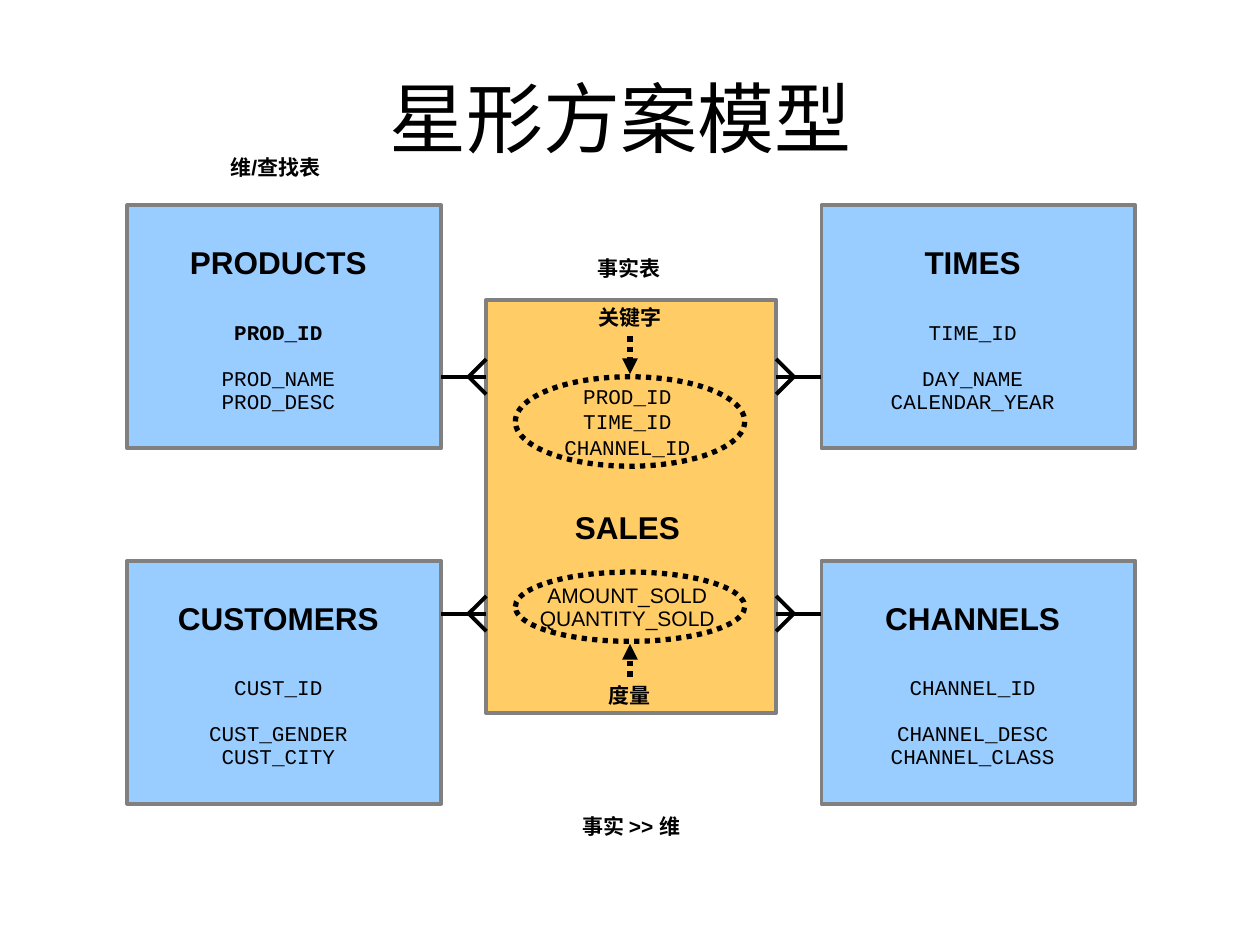
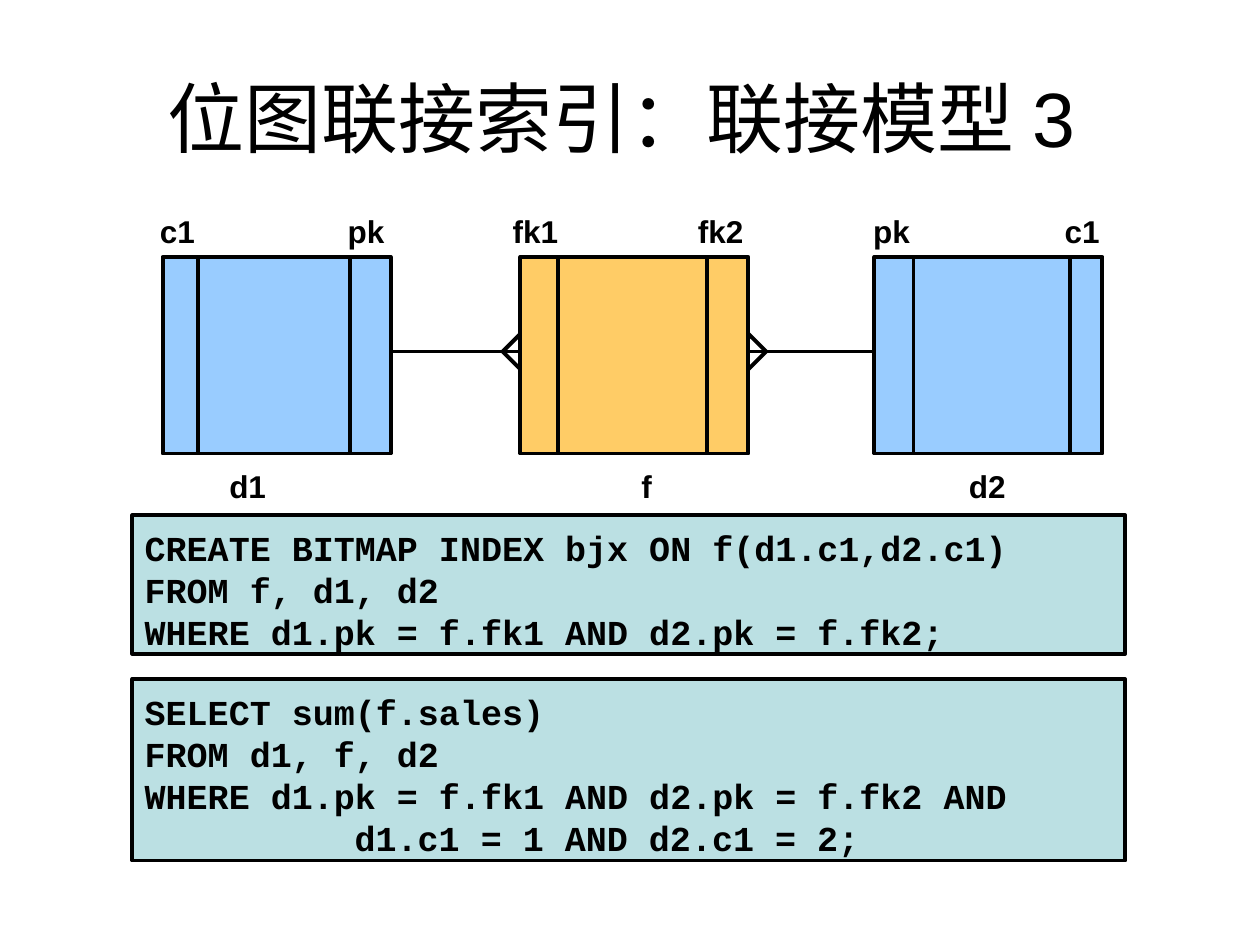
from dataclasses import dataclass

from lxml import etree
from pptx import Presentation
from pptx import util as u
from pptx.dml.color import RGBColor
from pptx.enum import dml, shapes, text
from pptx.oxml import ns

# Content: star schema
STAR_TITLE = "星形方案模型"
DIMENSIONS = [  # column, row, name, key, attributes, bold key
    (0, 0, "PRODUCTS", "PROD_ID", ("PROD_NAME", "PROD_DESC"), True),
    (1, 0, "TIMES", "TIME_ID", ("DAY_NAME", "CALENDAR_YEAR"), False),
    (0, 1, "CUSTOMERS", "CUST_ID", ("CUST_GENDER", "CUST_CITY"), False),
    (1, 1, "CHANNELS", "CHANNEL_ID", ("CHANNEL_DESC", "CHANNEL_CLASS"), False),
]
FACT_NAME = "SALES"
FACT_KEYS = ("PROD_ID", "TIME_ID", "CHANNEL_ID")
FACT_MEASURES = ("AMOUNT_SOLD", "QUANTITY_SOLD")
STAR_LABELS = [  # wording, left, top, width
    ("事实表", 4.64, 1.98, 0.7),
    ("维/查找表", 1.69, 1.18, 0.99),
    ("事实 >> 维", 4.48, 6.41, 1.06),
    ("度量", 4.73, 5.37, 0.53),
    ("关键字", 4.65, 2.37, 0.7),
]
RINGS = [(2.99, 0.71), (4.54, 0.55)]  # top, height
RING_ARROWS = [(2.67, 2.97), (5.37, 5.11)]  # from, to

# Content: join model
JOIN_TITLE = "位图联接索引：联接模型 3"
JOIN_TABLES = [  # left, is fact, column dividers, column labels, name label
    (1.29, False, (0.28, 1.49), (("c1", 1.26), ("pk", 2.75)), ("d1", 1.81)),
    (4.13, True, (0.3, 1.48), (("fk1", 4.06), ("fk2", 5.53)), ("f", 5.08)),
    (6.94, False, (0.31, 1.55), (("pk", 6.92), ("c1", 8.44)), ("d2", 7.68)),
]
LABEL_WIDTHS = {1: 0.11, 2: 0.39, 3: 0.46}  # by number of letters
STATEMENTS = [  # top, height, lines as (code, indent in characters)
    (4.09, 1.1, [
        ("CREATE BITMAP INDEX bjx ON f(d1.c1,d2.c1)", 0),
        ("FROM f, d1, d2", 0),
        ("WHERE d1.pk = f.fk1 AND d2.pk = f.fk2;", 0)]),
    (5.39, 1.44, [
        ("SELECT sum(f.sales)", 0),
        ("FROM d1, f, d2", 0),
        ("WHERE d1.pk = f.fk1 AND d2.pk = f.fk2 AND", 0),
        ("d1.c1 = 1 AND d2.c1 = 2;", 10)]),
]


@dataclass(frozen=True)
class Theme:
    ink: str = "000000"
    border: str = "808080"
    dimension: str = "99CCFF"
    fact: str = "FFCC66"
    code_fill: str = "BBE0E3"
    sans: str = "Arial"
    mono: str = "Courier New"
    title: int = 44
    code: int = 20
    name: int = 18
    small: int = 12
    stroke: float = 2.25
    dots: int = 3


THEME = Theme()


def rgb(value):
    return RGBColor.from_string(value)


# Text
def set_frame(frame, insets=(0.1, 0.05, 0.1, 0.05), anchor=text.MSO_ANCHOR.TOP, wrap=True):
    frame.auto_size = text.MSO_AUTO_SIZE.NONE
    frame.word_wrap = wrap
    frame.vertical_anchor = anchor
    (frame.margin_left, frame.margin_top,
     frame.margin_right, frame.margin_bottom) = map(u.Inches, insets)


def write(frame, wording, size=THEME.small, font=THEME.sans, bold=False,
          align=text.PP_ALIGN.CENTER, pitch=None, before=0, indent=0):
    """Fill the first paragraph if it is free, otherwise add one."""
    para = frame.paragraphs[-1]
    if para.runs:
        para = frame.add_paragraph()
    para.alignment = align
    para.space_before = u.Pt(before)
    if pitch:
        para.line_spacing = u.Pt(pitch)
    if indent:
        para._p.get_or_add_pPr().set("marL", str(u.Pt(indent)))
    span = para.add_run()
    span.text = wording
    span.font.size = u.Pt(size)
    span.font.name = font
    span.font.bold = bold
    span.font.color.rgb = rgb(THEME.ink)


def add_label(page, wording, left, top, width, height, frame_format, **style):
    box = page.shapes.add_textbox(*map(u.Inches, (left, top, width, height)))
    set_frame(box.text_frame, **frame_format)
    write(box.text_frame, wording, bold=True, **style)


# Shapes and lines
def add_box(page, left, top, width, height, fill=None, line=THEME.ink, dotted=False,
            kind=shapes.MSO_SHAPE.RECTANGLE):
    box = page.shapes.add_shape(kind, *map(u.Inches, (left, top, width, height)))
    box.shadow.inherit = False
    if fill:
        box.fill.solid()
        box.fill.fore_color.rgb = rgb(fill)
    else:
        box.fill.background()
    style_line(box.line, line, dotted)
    return box


def style_line(line, color=THEME.ink, dotted=False):
    line.color.rgb = rgb(color)
    line.width = u.Pt(THEME.dots if dotted else THEME.stroke)
    if dotted:
        line.dash_style = dml.MSO_LINE.ROUND_DOT


def add_line(page, x1, y1, x2, y2, arrow=False):
    link = page.shapes.add_connector(
        shapes.MSO_CONNECTOR.STRAIGHT, *map(u.Inches, (x1, y1, x2, y2)))
    style_line(link.line, dotted=arrow)
    properties = link._element.spPr
    if arrow:
        outline = properties.find(ns.qn("a:ln"))
        etree.SubElement(outline, ns.qn("a:tailEnd"), type="triangle")
    etree.SubElement(properties, ns.qn("a:effectLst"))


def add_many_link(page, one_x, many_x, y):
    """Line from the one side, ending in a crow's foot on the many side."""
    tip = many_x + (0.14 if one_x > many_x else -0.14)
    add_line(page, one_x, y, many_x, y)
    for spread in (-0.14, 0.14):
        add_line(page, tip, y, many_x, y + spread)


def add_page(deck, title):
    page = deck.slides.add_slide(deck.slide_layouts[5])
    holder = page.shapes.title
    holder.left, holder.top, holder.width, holder.height = map(u.Inches, (0.5, 0.3, 9, 1.25))
    set_frame(holder.text_frame, (0.1, 0.05, 0.24, 0.05), text.MSO_ANCHOR.MIDDLE)
    write(holder.text_frame, title, size=THEME.title)
    return page


# Slide 1: star schema
def build_star(deck):
    page = add_page(deck, STAR_TITLE)
    width, height = 2.49, 1.93
    lefts, tops, link_rows = (1.01, 6.52), (1.63, 4.45), (2.99, 4.87)
    fact_left, fact_width = 3.86, 2.3

    for column, row, name, key, attributes, bold_key in DIMENSIONS:
        box = add_box(page, lefts[column], tops[row], width, height,
                      THEME.dimension, THEME.border)
        frame = box.text_frame
        set_frame(frame, (0.1, 0.31, 0.19, 0.05))
        column_style = dict(font=THEME.mono, pitch=13.2)
        write(frame, name, size=THEME.name, bold=True, pitch=21)
        write(frame, key, bold=bold_key, before=23, **column_style)
        for index, attribute in enumerate(attributes):
            write(frame, attribute, before=0 if index else 13, **column_style)

    fact = add_box(page, fact_left, 2.38, fact_width, 3.28, THEME.fact, THEME.border)
    frame = fact.text_frame
    set_frame(frame, (0.1, 0.66, 0.16, 0.05))
    for key in FACT_KEYS:
        write(frame, key, font=THEME.mono, pitch=14.6)
    write(frame, FACT_NAME, size=THEME.name, bold=True, pitch=21, before=28.3)
    for index, measure in enumerate(FACT_MEASURES):
        write(frame, measure, pitch=13.1, before=0 if index else 22.4)

    for y in link_rows:
        add_many_link(page, lefts[0] + width, fact_left, y)
        add_many_link(page, lefts[1], fact_left + fact_width, y)
    for top, ring_height in RINGS:
        add_box(page, 4.09, top, 1.82, ring_height, dotted=True,
                kind=shapes.MSO_SHAPE.OVAL)
    for start, end in RING_ARROWS:
        add_line(page, 5, start, 5, end, arrow=True)
    for wording, left, top, label_width in STAR_LABELS:
        add_label(page, wording, left, top, label_width, 0.3, dict(wrap=False), before=3)


# Slide 2: join model
def build_join(deck):
    page = add_page(deck, JOIN_TITLE)
    top, width, height, link_y = 2.04, 1.81, 1.56, 2.79

    for left, is_fact, dividers, columns, name in JOIN_TABLES:
        add_box(page, left, top, width, height, THEME.fact if is_fact else THEME.dimension)
        for offset in dividers:
            add_line(page, left + offset, top, left + offset, top + height)
        placed = [(label, 1.67) for label in columns] + [(name, 3.7)]
        for (wording, label_left), label_top in placed:
            add_label(page, wording, label_left, label_top, LABEL_WIDTHS[len(wording)],
                      0.33, dict(insets=(0.01,) * 4), size=THEME.name,
                      align=text.PP_ALIGN.LEFT)

    first, fact, last = (table[0] for table in JOIN_TABLES)
    add_many_link(page, first + width, fact, link_y)
    add_many_link(page, last, fact + width, link_y)

    for code_top, code_height, lines in STATEMENTS:
        box = add_box(page, 1.05, code_top, 7.88, code_height, THEME.code_fill)
        set_frame(box.text_frame, (0.1, 0.09, 0.1, 0.05))
        for code, characters in lines:
            write(box.text_frame, code, size=THEME.code, font=THEME.mono, bold=True,
                  align=text.PP_ALIGN.LEFT, pitch=24,
                  indent=characters * THEME.code * 0.6)


def main():
    deck = Presentation()
    deck.slide_width, deck.slide_height = u.Inches(10), u.Inches(7.5)
    build_star(deck)
    build_join(deck)
    deck.save("out.pptx")


if __name__ == "__main__":
    main()
